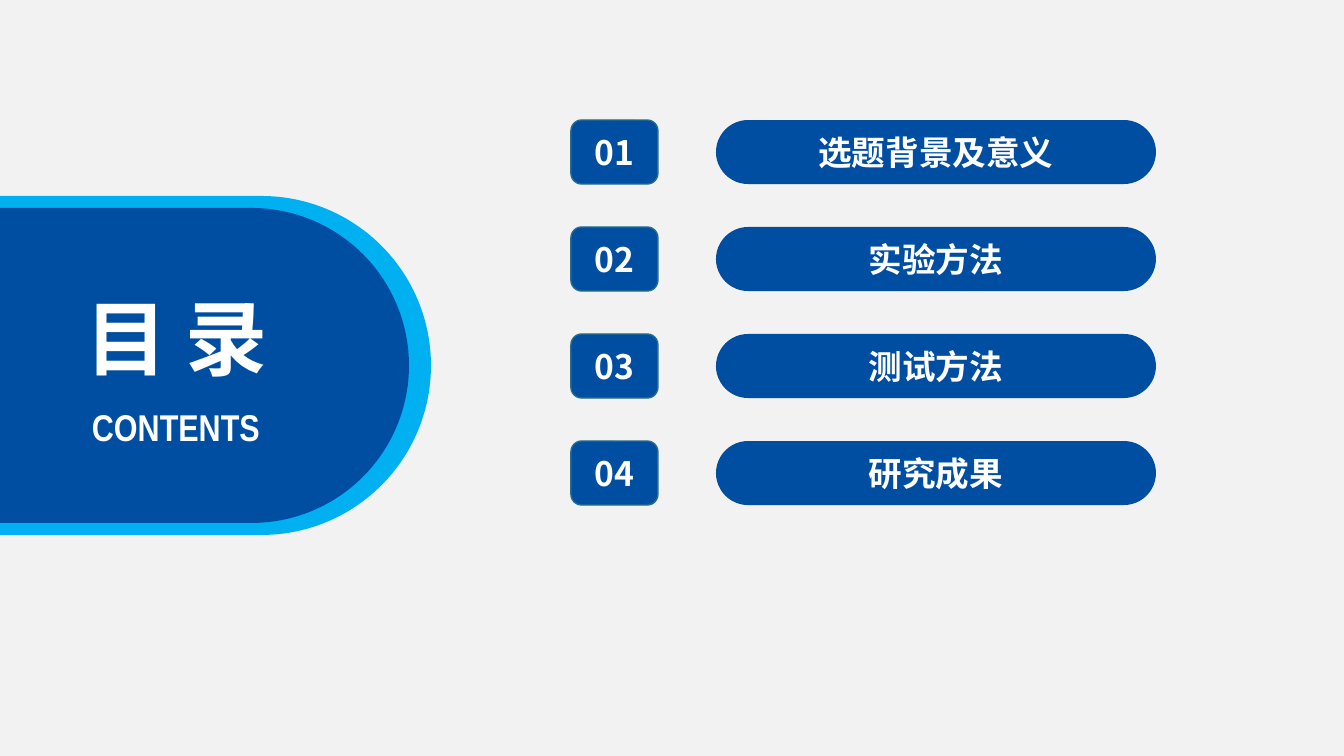
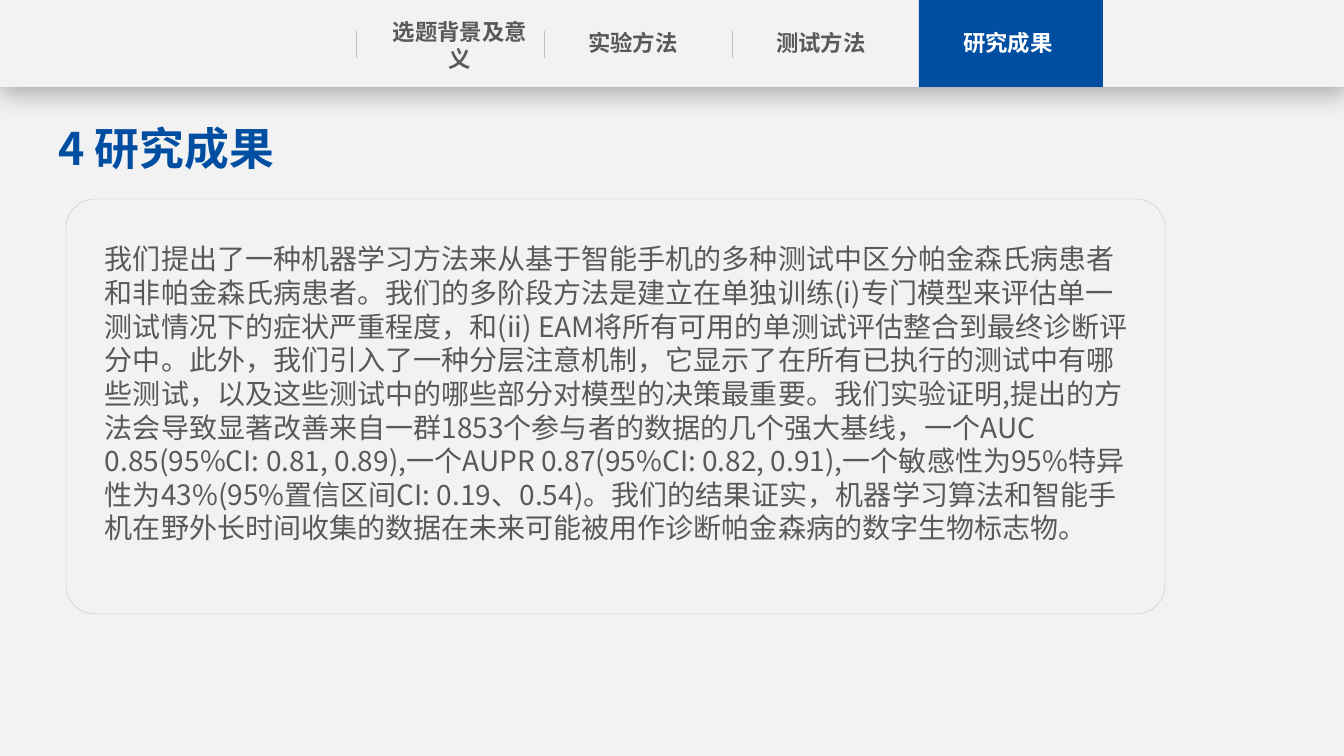
from lxml.etree import SubElement
from pptx import Presentation
from pptx.dml.color import RGBColor
from pptx.enum.shapes import MSO_CONNECTOR, MSO_SHAPE
from pptx.enum.text import MSO_ANCHOR, MSO_AUTO_SIZE, PP_ALIGN
from pptx.oxml import parse_xml
from pptx.oxml.ns import nsdecls, qn
from pptx.util import Pt

# Shared look
PIXEL = 914400 / 100.8
PAPER, BLUE, SKY, WHITE, GREY, RULE = "F2F2F2", "004EA2", "00B0F0", "FFFFFF", "595959", "BFBFBF"
FONT = "Noto Sans CJK SC"
SECTIONS = ["选题背景及意义", "实验方法", "测试方法", "研究成果"]


def add_box(page, kind, place, fill, line=None, line_width=1, corner=None):
    box = page.shapes.add_shape(kind, *[round(length * PIXEL) for length in place])
    box.shadow.inherit = False
    box.fill.solid()
    box.fill.fore_color.rgb = RGBColor.from_string(fill)
    if line:
        box.line.color.rgb = RGBColor.from_string(line)
        box.line.width = Pt(line_width)
    else:
        box.line.fill.background()
    if corner is not None:
        box.adjustments[0] = corner
    return box


def write(box, text, size, color, place=None, bold=True, align=PP_ALIGN.CENTER,
          anchor=MSO_ANCHOR.TOP, wrap=True, side=10, font=FONT):
    if place:
        box.left, box.top, box.width, box.height = [round(length * PIXEL) for length in place]
    frame = box.text_frame
    frame.text = text
    frame.word_wrap = wrap
    frame.auto_size = MSO_AUTO_SIZE.NONE
    frame.vertical_anchor = anchor
    frame.margin_left = frame.margin_right = round(side * PIXEL)
    frame.margin_top = frame.margin_bottom = round(5 * PIXEL)
    para = frame.paragraphs[0]
    para.alignment = align
    for span in para.runs:
        span.font.size = Pt(size)
        span.font.bold = bold
        span.font.name = font
        span.font.color.rgb = RGBColor.from_string(color)
        SubElement(span.font._element, qn("a:ea")).set("typeface", font)


deck = Presentation()
deck.slide_width, deck.slide_height = round(1344 * PIXEL), round(756 * PIXEL)
backdrop = deck.slide_master.background.fill
backdrop.solid()
backdrop.fore_color.rgb = RGBColor.from_string(PAPER)
title_only = deck.slide_layouts[5]

# Slide 1: contents
page = deck.slides.add_slide(title_only)
add_box(page, MSO_SHAPE.ROUNDED_RECTANGLE, (-193, 196, 624, 339), SKY, corner=0.5)
add_box(page, MSO_SHAPE.ROUNDED_RECTANGLE, (-171, 208, 580, 315), BLUE, corner=0.5)
title = page.shapes.title
write(title, "目 录", 58.6, WHITE, (71, 282, 211, 110), wrap=False)
page.shapes[-1].element.addnext(title.element)
subtitle = page.shapes.add_textbox(0, 0, 0, 0)
write(subtitle, "CONTENTS", 26.6, WHITE, (62, 399, 228, 55), wrap=False, font="Arial Narrow")

for index, section in enumerate(SECTIONS):
    top = 120 + 107 * index
    number = add_box(page, MSO_SHAPE.ROUNDED_RECTANGLE, (571, top, 87, 64), BLUE, line="266D8A")
    write(number, f"{index + 1:02}", 24, WHITE, anchor=MSO_ANCHOR.MIDDLE)
    pill = add_box(page, MSO_SHAPE.ROUNDED_RECTANGLE, (716, top, 440, 64), BLUE, corner=0.5)
    write(pill, section, 24, WHITE, anchor=MSO_ANCHOR.MIDDLE)

# Slide 2: navigation band
page = deck.slides.add_slide(title_only)
band = add_box(page, MSO_SHAPE.RECTANGLE, (0, 0, 1344, 87), PAPER)
effects = band.element.spPr.find(qn("a:effectLst"))
effects.append(parse_xml(
    f'<a:outerShdw {nsdecls("a")} blurRad="{Pt(18)}" dist="{Pt(4)}" dir="5400000" algn="t" '
    'rotWithShape="0"><a:srgbClr val="000000"><a:alpha val="29000"/></a:srgbClr></a:outerShdw>'))
add_box(page, MSO_SHAPE.RECTANGLE, (919, 0, 184, 87), BLUE)

tabs = zip(SECTIONS, (386, 559, 747, 934), (13, 24, 24, 24), (GREY, GREY, GREY, WHITE))
for section, left, top, color in tabs:
    tab = page.shapes.add_textbox(0, 0, 0, 0)
    write(tab, section, 16, color, (left, top, 148, 38), side=0)

for index in range(3):
    x = round((356 + 188 * index) * PIXEL)
    divider = page.shapes.add_connector(
        MSO_CONNECTOR.STRAIGHT, x, round(31 * PIXEL), x, round(58 * PIXEL))
    divider.line.color.rgb = RGBColor.from_string(RULE)
    divider.line.width = Pt(0.5)
    SubElement(divider.element.spPr, qn("a:effectLst"))

# Slide 2: title and findings
write(page.shapes.title, "4 研究成果", 32, BLUE, (58, 116, 387, 65), align=PP_ALIGN.LEFT, side=0)
add_box(page, MSO_SHAPE.ROUNDED_RECTANGLE, (66, 199, 1099, 415), PAPER,
        line=RULE, line_width=0.25, corner=0.07)
findings = page.shapes.add_textbox(0, 0, 0, 0)
write(findings, (
    "我们提出了一种机器学习方法来从基于智能手机的多种测试中区分帕金森氏病患者和非帕金森氏病患者。"
    "我们的多阶段方法是建立在单独训练(i)专门模型来评估单一测试情况下的症状严重程度，"
    "和(ii) EAM将所有可用的单测试评估整合到最终诊断评分中。"
    "此外，我们引入了一种分层注意机制，它显示了在所有已执行的测试中有哪些测试，"
    "以及这些测试中的哪些部分对模型的决策最重要。"
    "我们实验证明,提出的方法会导致显著改善来自一群1853个参与者的数据的几个强大基线，"
    "一个AUC 0.85(95%CI: 0.81, 0.89),一个AUPR 0.87(95%CI: 0.82, 0.91),"
    "一个敏感性为95%特异性为43%(95%置信区间CI: 0.19、0.54)。"
    "我们的结果证实，机器学习算法和智能手机在野外长时间收集的数据在未来可能被用作诊断帕金森病的数字生物标志物。"
), 20, GREY, (95, 237, 1048, 315), bold=False, align=PP_ALIGN.LEFT)

deck.save("out.pptx")
